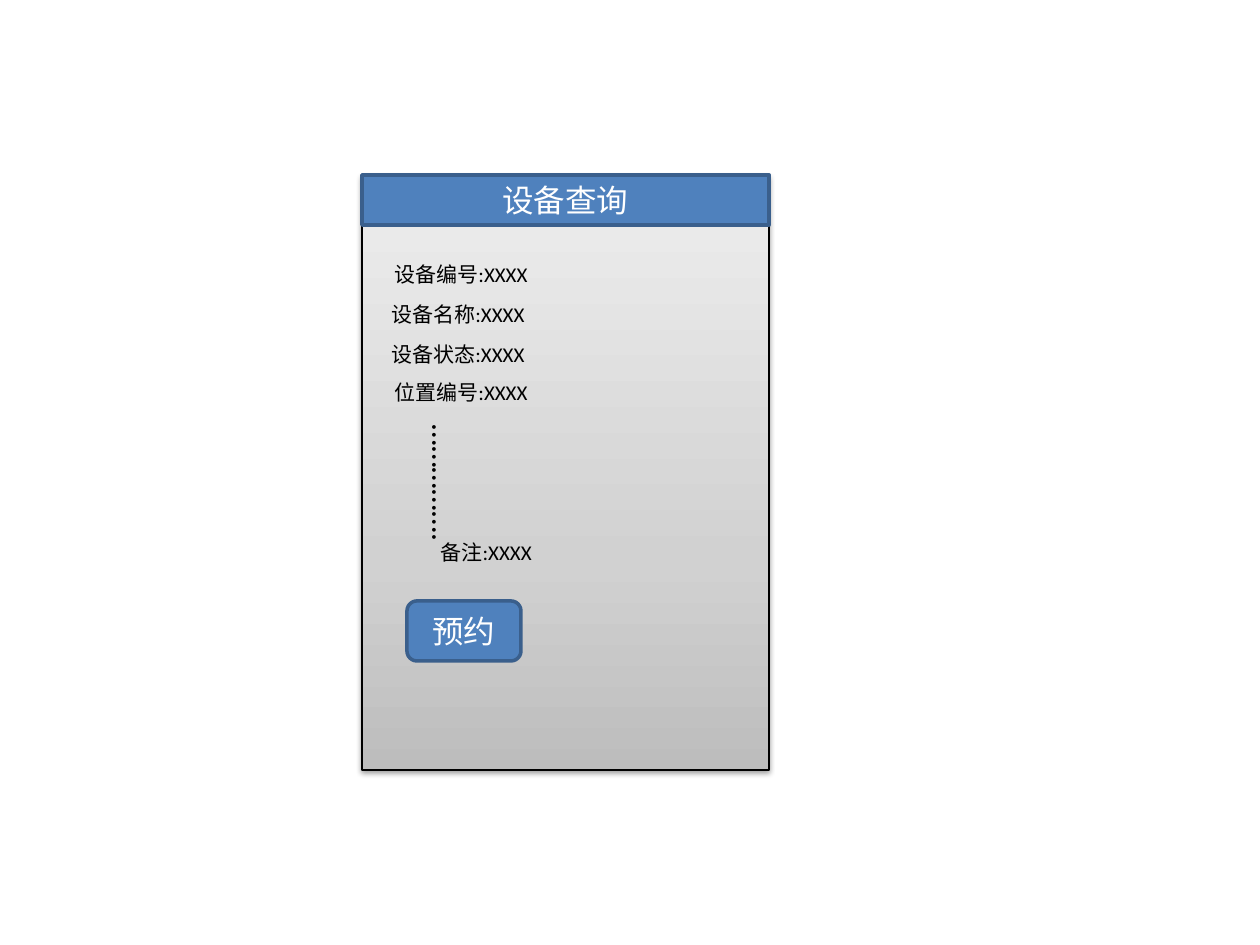
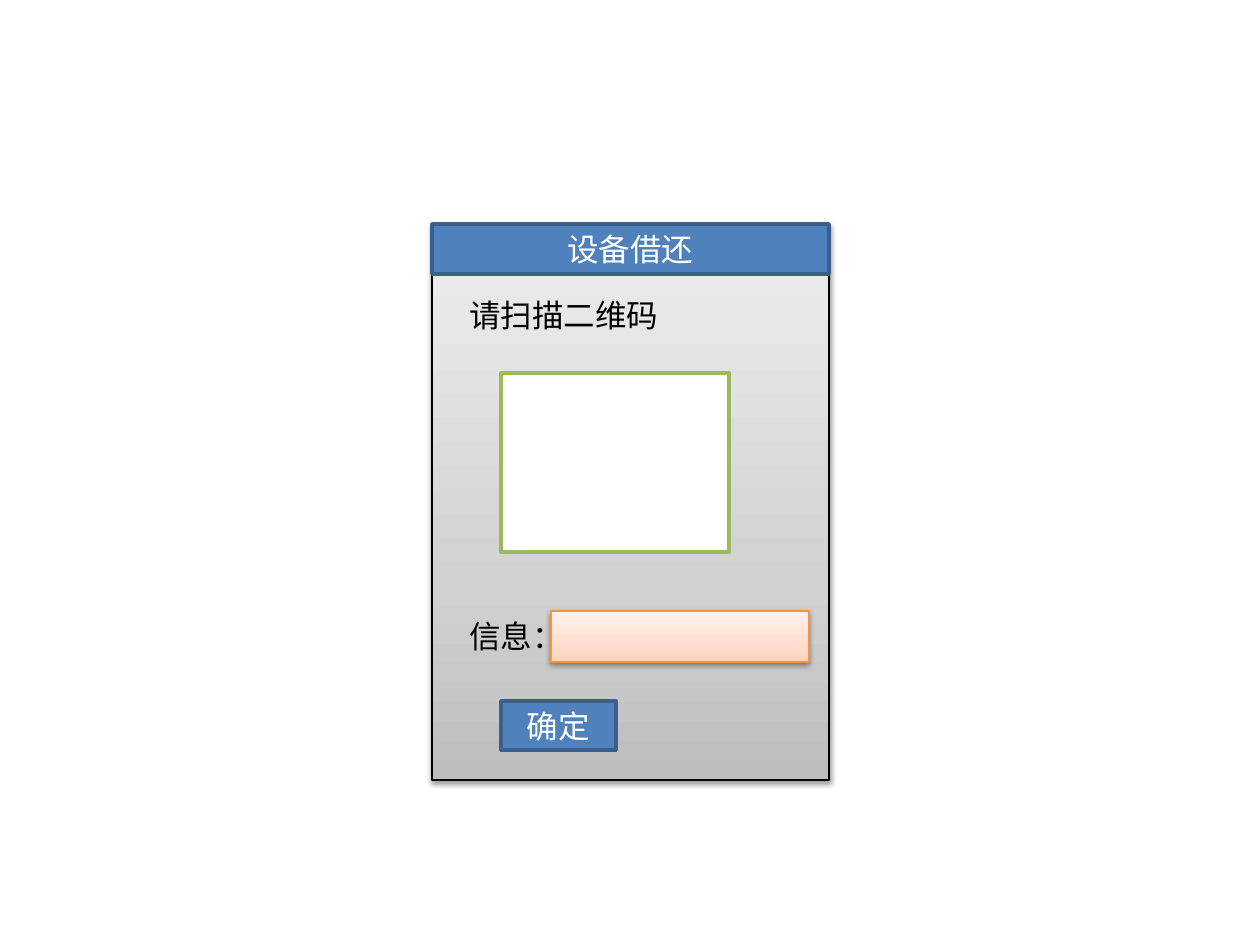
from pptx import Presentation
from pptx.dml.color import RGBColor
from pptx.enum.shapes import MSO_SHAPE
from pptx.enum.text import MSO_ANCHOR, MSO_AUTO_SIZE, PP_ALIGN
from pptx.oxml import parse_xml
from pptx.oxml.ns import nsdecls, qn
from pptx.util import Inches, Pt

PIXEL = Inches(1) / 126
FONT = "Calibri"
COLORS = {
    "blue": "4F81BD", "navy": "3A5F8C", "white": "FFFFFF",
    "black": "000000", "green": "9BBB59", "orange": "F69240",
}
GRADIENTS = {
    "gray": ((0, "BDBDBD"), (35, "D1D1D1"), (100, "EEEEEE")),
    "peach": ((0, "FFD2BD"), (35, "FFDED0"), (100, "FFF2ED")),
}


def px(value):
    return round(value * PIXEL)


def color(name):
    return RGBColor.from_string(COLORS[name])


def write(shape, text, size=18, ink="black", align=PP_ALIGN.LEFT, anchor=MSO_ANCHOR.TOP):
    frame = shape.text_frame
    frame.word_wrap = True
    frame.vertical_anchor = anchor
    para = frame.paragraphs[0]
    para.alignment = align
    span = para.add_run()
    span.text = text
    span.font.name = FONT
    span.font.size = Pt(size)
    span.font.color.rgb = color(ink)


def write_label(shape, text):
    write(shape, text, ink="white", align=PP_ALIGN.CENTER, anchor=MSO_ANCHOR.MIDDLE)


def paint(shape, fill, line, width=2):
    shape.fill.solid()
    shape.fill.fore_color.rgb = color(fill)
    shape.line.color.rgb = color(line)
    shape.line.width = Pt(width)


def add_box(page, bounds, fill="blue", line="navy", width=2, kind=MSO_SHAPE.RECTANGLE):
    box = page.shapes.add_shape(kind, *map(px, bounds))
    box.shadow.inherit = False
    paint(box, fill, line, width)
    return box


def add_raised_box(page, bounds, gradient, line):
    box = add_box(page, bounds, line=line, width=0.75)
    properties = box.element.spPr
    stops = "".join(
        f'<a:gs pos="{place * 1000}"><a:srgbClr val="{shade}"/></a:gs>'
        for place, shade in GRADIENTS[gradient]
    )
    properties.replace(properties.find(qn("a:solidFill")), parse_xml(
        f'<a:gradFill {nsdecls("a")} rotWithShape="1"><a:gsLst>{stops}</a:gsLst>'
        '<a:lin ang="16200000" scaled="0"/></a:gradFill>'))
    properties.find(qn("a:effectLst")).append(parse_xml(
        f'<a:outerShdw {nsdecls("a")} blurRad="{Pt(3.1)}" dist="{Pt(1.6)}" dir="5400000" '
        f'rotWithShape="0"><a:srgbClr val="{COLORS["black"]}"><a:alpha val="38000"/>'
        '</a:srgbClr></a:outerShdw>'))


def add_button(page, bounds, text, kind=MSO_SHAPE.RECTANGLE):
    write_label(add_box(page, bounds, kind=kind), text)


def add_text(page, bounds, text, size=18, indent=0, vertical=False):
    box = page.shapes.add_textbox(*map(px, bounds))
    write(box, text, size=size)
    box.text_frame.margin_left = Inches(0.1) + px(indent)
    if vertical:
        box.text_frame._txBody.bodyPr.set("vert", "eaVert")


def add_screen(deck, title, bounds):
    page = deck.slides.add_slide(deck.slide_layouts[5])
    add_raised_box(page, bounds, "gray", "black")
    left, top, width, height = bounds
    band = page.shapes.title
    band.left, band.top, band.width, band.height = map(px, (left, top, width, 50))
    paint(band, "blue", "navy")
    write_label(band, title)
    band.text_frame.auto_size = MSO_AUTO_SIZE.NONE
    page.shapes.element.append(band.element)
    return page


def build_query(deck):
    page = add_screen(deck, "设备查询", (362, 175, 407, 595))
    fields = (
        ("设备编号", 382, 255, 0), ("设备名称", 379, 295, 0),
        ("设备状态", 379, 335, 0), ("位置编号", 382, 373, 0), ("备注", 382, 533, 46),
    )
    for name, left, top, indent in fields:
        add_text(page, (left, top, 184, 38), f"{name}:XXXX", size=12, indent=indent)
    add_text(page, (407, 412, 63, 160), "…" * 5 + ".", vertical=True)
    add_button(page, (407, 601, 114, 60), "预约", kind=MSO_SHAPE.ROUNDED_RECTANGLE)


def build_loan(deck):
    page = add_screen(deck, "设备借还", (432, 224, 397, 556))
    add_text(page, (457, 290, 238, 51), "请扫描二维码")
    add_box(page, (501, 373, 228, 179), fill="white", line="green")
    add_text(page, (457, 611, 118, 51), "信息：")
    add_raised_box(page, (551, 611, 258, 51), "peach", "orange")
    add_button(page, (501, 701, 115, 49), "确定")


def main():
    deck = Presentation()
    deck.slide_width, deck.slide_height = Inches(10), Inches(7.5)
    build_query(deck)
    build_loan(deck)
    deck.save("out.pptx")


main()
